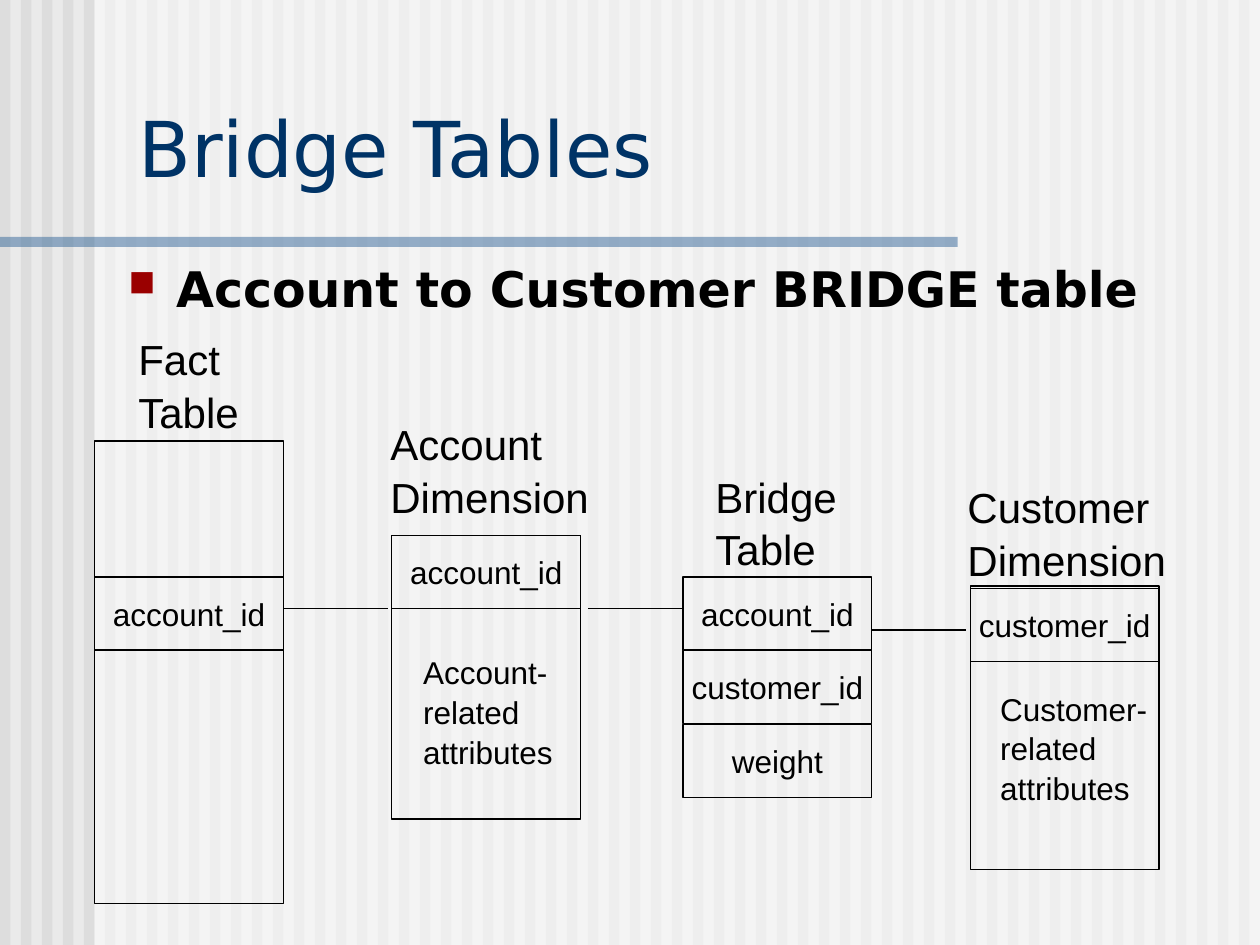
"""Build the Bridge Tables slide."""
from pptx import Presentation
from pptx.dml.color import RGBColor
from pptx.enum.shapes import MSO_CONNECTOR, MSO_SHAPE
from pptx.enum.text import MSO_ANCHOR, PP_ALIGN
from pptx.oxml.ns import qn
from pptx.util import Inches, Pt
from lxml import etree

RECTANGLE = MSO_SHAPE.RECTANGLE
STRAIGHT = MSO_CONNECTOR.STRAIGHT
TOP, MIDDLE, BOTTOM = MSO_ANCHOR.TOP, MSO_ANCHOR.MIDDLE, MSO_ANCHOR.BOTTOM
LEFT, CENTER = PP_ALIGN.LEFT, PP_ALIGN.CENTER

BACKGROUND = RGBColor(0xEA, 0xEA, 0xEA)
STRIPE = RGBColor(0xDD, 0xDD, 0xDD)
WHITE = RGBColor(0xFF, 0xFF, 0xFF)
BLUE = RGBColor(0x33, 0x66, 0x99)
NAVY = RGBColor(0x00, 0x33, 0x66)
BLACK = RGBColor(0x00, 0x00, 0x00)
BULLET_RED = "9A0000"

SLIDE_WIDTH, SLIDE_HEIGHT = 10, 7.5
STRIPE_COUNT = 60
TABLE_WIDTH = 1.5
ROW_HEIGHT = 0.58
ROW_PITCH = 0.585

TITLE = "Bridge Tables"
HEADING = "Account to Customer BRIDGE table"

TABLES = [
    {"left": 0.75, "outline": (3.5, 3.67), "rows_top": 4.58, "rows": ["account_id"],
     "labels": [("Fact\nTable", 24, (1, 2.58, 1.04, 0.9))]},
    {"left": 3.11, "outline": (4.25, 2.25), "rows_top": 4.25, "rows": ["account_id"],
     "labels": [("Account\nDimension", 24, (3, 3.25, 1.78, 0.9)),
                ("Account-\nrelated\nattributes", 18, (3.26, 5.12, 1.23, 1))]},
    {"left": 5.42, "outline": None, "rows_top": 4.58,
     "rows": ["account_id", "customer_id", "weight"],
     "labels": [("Bridge\nTable", 24, (5.58, 3.67, 1.17, 0.9))]},
    {"left": 7.7, "outline": (4.65, 2.25), "rows_top": 4.67, "rows": ["customer_id"],
     "labels": [("Customer\nDimension", 24, (7.58, 3.75, 1.78, 0.9)),
                ("Customer-\nrelated\nattributes", 18, (7.84, 5.41, 1.37, 1))]},
]
LINKS = [(2.25, 3.08, 4.83), (4.67, 5.42, 4.83), (6.92, 7.67, 5)]


def write_text(shape, text, size=18, font="Arial", color=BLACK, bold=False,
               align=LEFT, anchor=TOP, wrap=False, spacing=None):
    frame = shape.text_frame
    frame.word_wrap = wrap
    frame.vertical_anchor = anchor
    paragraph = frame.paragraphs[0]
    paragraph.text = text
    paragraph.alignment = align
    paragraph.line_spacing = spacing
    for run in paragraph.runs:
        run.font.size = Pt(size)
        run.font.name = font
        run.font.color.rgb = color
        run.font.bold = bold
    return paragraph


def add_text_box(slide, box, text, **text_format):
    shape = slide.shapes.add_textbox(*map(Inches, box))
    return write_text(shape, text, **text_format)


def add_rectangle(slide, box, fill=None, opacity=100):
    shape = slide.shapes.add_shape(RECTANGLE, *map(Inches, box))
    shape.shadow.inherit = False
    if fill is None:
        shape.fill.background()
        shape.line.color.rgb = BLACK
        shape.line.width = Pt(0.75)
        return shape
    shape.fill.solid()
    shape.fill.fore_color.rgb = fill
    shape.line.fill.background()
    if opacity < 100:
        color = shape.fill._xPr.find(".//" + qn("a:srgbClr"))
        etree.SubElement(color, qn("a:alpha"), val=str(opacity * 1000))
    return shape


def add_bullet(paragraph):
    properties = paragraph._p.get_or_add_pPr()
    indent = Inches(0.38)
    properties.set("marL", str(indent))
    properties.set("indent", str(-indent))
    bullet_color = etree.SubElement(properties, qn("a:buClr"))
    etree.SubElement(bullet_color, qn("a:srgbClr"), val=BULLET_RED)
    etree.SubElement(properties, qn("a:buSzPct"), val="75000")
    etree.SubElement(properties, qn("a:buChar"), char="■")


def add_background(slide):
    slide.background.fill.solid()
    slide.background.fill.fore_color.rgb = BACKGROUND
    pitch = SLIDE_WIDTH / STRIPE_COUNT
    for index in range(STRIPE_COUNT):
        add_rectangle(slide, (index * pitch, 0, pitch / 2, SLIDE_HEIGHT), STRIPE)
    add_rectangle(slide, (0.75, 0, SLIDE_WIDTH - 0.75, SLIDE_HEIGHT), WHITE, 50)
    add_rectangle(slide, (0, 1.88, 7.6, 0.08), BLUE, 50)


def add_table_diagram(slide, left, outline, rows_top, rows, labels):
    if outline:
        top, height = outline
        add_rectangle(slide, (left, top, TABLE_WIDTH, height))
    for index, name in enumerate(rows):
        box = (left, rows_top + index * ROW_PITCH, TABLE_WIDTH, ROW_HEIGHT)
        write_text(add_rectangle(slide, box), name, align=CENTER, anchor=MIDDLE)
    for text, size, box in labels:
        add_text_box(slide, box, text, size=size, spacing=1.05)


def add_link(slide, start, end, height):
    connector = slide.shapes.add_connector(
        STRAIGHT, *map(Inches, (start, height, end, height)))
    connector.line.color.rgb = BLACK
    connector.line.width = Pt(0.75)
    etree.SubElement(connector._element.spPr, qn("a:effectLst"))


def main():
    presentation = Presentation()
    presentation.slide_width = Inches(SLIDE_WIDTH)
    presentation.slide_height = Inches(SLIDE_HEIGHT)
    slide = presentation.slides.add_slide(presentation.slide_layouts[6])
    add_background(slide)
    add_text_box(slide, (1, 0.75, 8.43, 0.83), TITLE, size=44, font="DejaVu Sans",
                 color=NAVY, anchor=BOTTOM, wrap=True)
    heading = add_text_box(slide, (0.92, 2, 8.42, 5.17), HEADING, size=28,
                           font="DejaVu Sans", bold=True, wrap=True)
    heading.space_before = Pt(5.6)
    add_bullet(heading)
    for table in TABLES:
        add_table_diagram(slide, **table)
    for link in LINKS:
        add_link(slide, *link)
    presentation.save("out.pptx")


if __name__ == "__main__":
    main()
